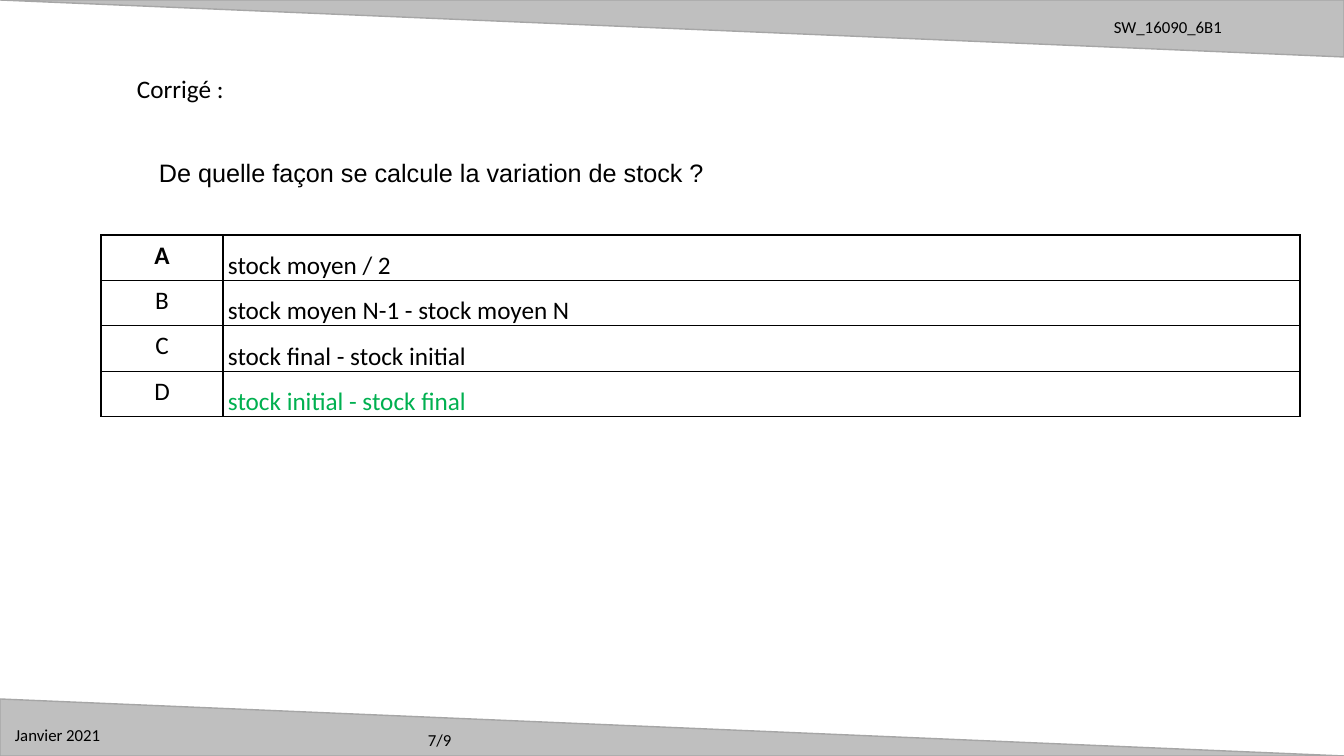
from lxml import etree
from pptx import Presentation
from pptx.dml.color import RGBColor
from pptx.enum.shapes import MSO_SHAPE
from pptx.enum.text import PP_ALIGN
from pptx.oxml.ns import qn
from pptx.util import Emu, Pt

TRIANGLE = MSO_SHAPE.ISOSCELES_TRIANGLE
CENTER = PP_ALIGN.CENTER
LEFT = PP_ALIGN.LEFT
EMU_PER_PX = 914400 / 100.8
WIDTH, HEIGHT = 1344, 756
BAND_HEIGHT = 57
COLORS = {
    "band": "BFBFBF",
    "edge": "A6A6A6",
    "text": "000000",
    "correct": "00B050",
    "cell": "FFFFFF",
}
ANSWERS = [
    ("A", "stock moyen / 2"),
    ("B", "stock moyen N-1 - stock moyen N"),
    ("C", "stock final - stock initial"),
    ("D", "stock initial - stock final"),
]
CORRECT = "D"


def px(length):
    return Emu(round(length * EMU_PER_PX))


def color(name):
    return RGBColor.from_string(COLORS[name])


class QuizPage:
    def __init__(self, deck):
        self.page = deck.slides.add_slide(deck.slide_layouts[6])
        self.font = "Calibri"

    def band(self, top, rotation=0):
        shape = self.page.shapes.add_shape(
            TRIANGLE, px(0), px(top), px(WIDTH), px(BAND_HEIGHT))
        shape.adjustments[0] = 0
        shape.rotation = rotation
        shape.shadow.inherit = False
        shape.fill.solid()
        shape.fill.fore_color.rgb = color("band")
        shape.line.color.rgb = color("edge")
        shape.line.width = Pt(1)

    def set_text(self, frame, text, size=18, font=None, tint="text", bold=False, align=LEFT):
        frame.text = text
        para = frame.paragraphs[0]
        para.alignment = align
        span = para.runs[0]
        span.font.size = Pt(size)
        span.font.name = font or self.font
        span.font.bold = bold
        span.font.color.rgb = color(tint)
        return para

    def label(self, left, top, width, height, text, **style):
        box = self.page.shapes.add_textbox(px(left), px(top), px(width), px(height))
        box.text_frame.word_wrap = True
        self.set_text(box.text_frame, text, **style)

    def border(self, cell):
        properties = cell._tc.get_or_add_tcPr()
        for side in ("lnL", "lnR", "lnT", "lnB"):
            line = etree.SubElement(properties, qn(f"a:{side}"), w=str(Pt(1)))
            fill = etree.SubElement(line, qn("a:solidFill"))
            etree.SubElement(fill, qn("a:srgbClr"), val=COLORS["text"])

    def answers(self, left, top, widths, row_height, rows):
        frame = self.page.shapes.add_table(
            len(rows), len(widths), px(left), px(top),
            px(sum(widths)), px(row_height * len(rows)))
        table = frame.table
        table.first_row = False
        table.horz_banding = False
        for column, width in zip(table.columns, widths):
            column.width = px(width)
        for row, (letter, answer) in zip(table.rows, rows):
            row.height = px(row_height)
            for cell in row.cells:
                self.border(cell)
                cell.fill.solid()
                cell.fill.fore_color.rgb = color("cell")
            letter_cell, answer_cell = row.cells
            self.set_text(letter_cell.text_frame, letter, bold=letter == "A", align=CENTER)
            answer_cell.margin_left = answer_cell.margin_right = px(5)
            answer_cell.margin_top = answer_cell.margin_bottom = 0
            tint = "correct" if letter == CORRECT else "text"
            para = self.set_text(answer_cell.text_frame, answer, tint=tint)
            para.line_spacing = 1.5
            para.space_before = para.space_after = Pt(6)


def main():
    deck = Presentation()
    deck.slide_width, deck.slide_height = px(WIDTH), px(HEIGHT)
    quiz = QuizPage(deck)
    quiz.band(0, rotation=180)
    quiz.band(HEIGHT - BAND_HEIGHT)
    quiz.label(418, 725, 120, 30, "7/9", size=12)
    quiz.label(1104, 12, 236, 30, "SW_16090_6B1", size=12)
    quiz.label(5, 720, 139, 30, "Janvier 2021", size=12)
    quiz.label(149, 152, 571, 40, "De quelle façon se calcule la variation de stock ?", font="Arial")
    quiz.answers(101, 235, (122, 1077), 45, ANSWERS)
    quiz.label(127, 68, 843, 40, "Corrigé :")
    deck.save("out.pptx")


if __name__ == "__main__":
    main()
